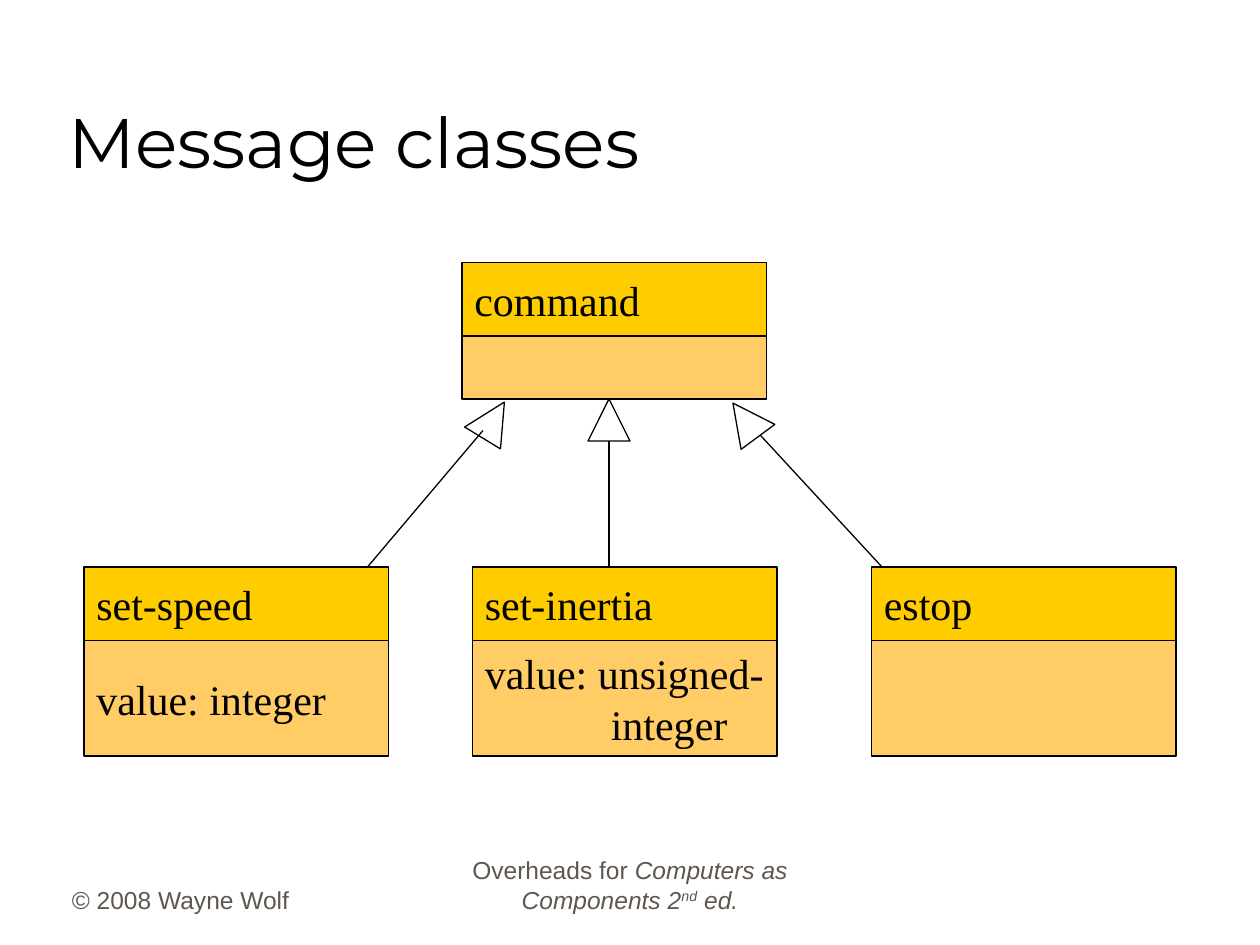
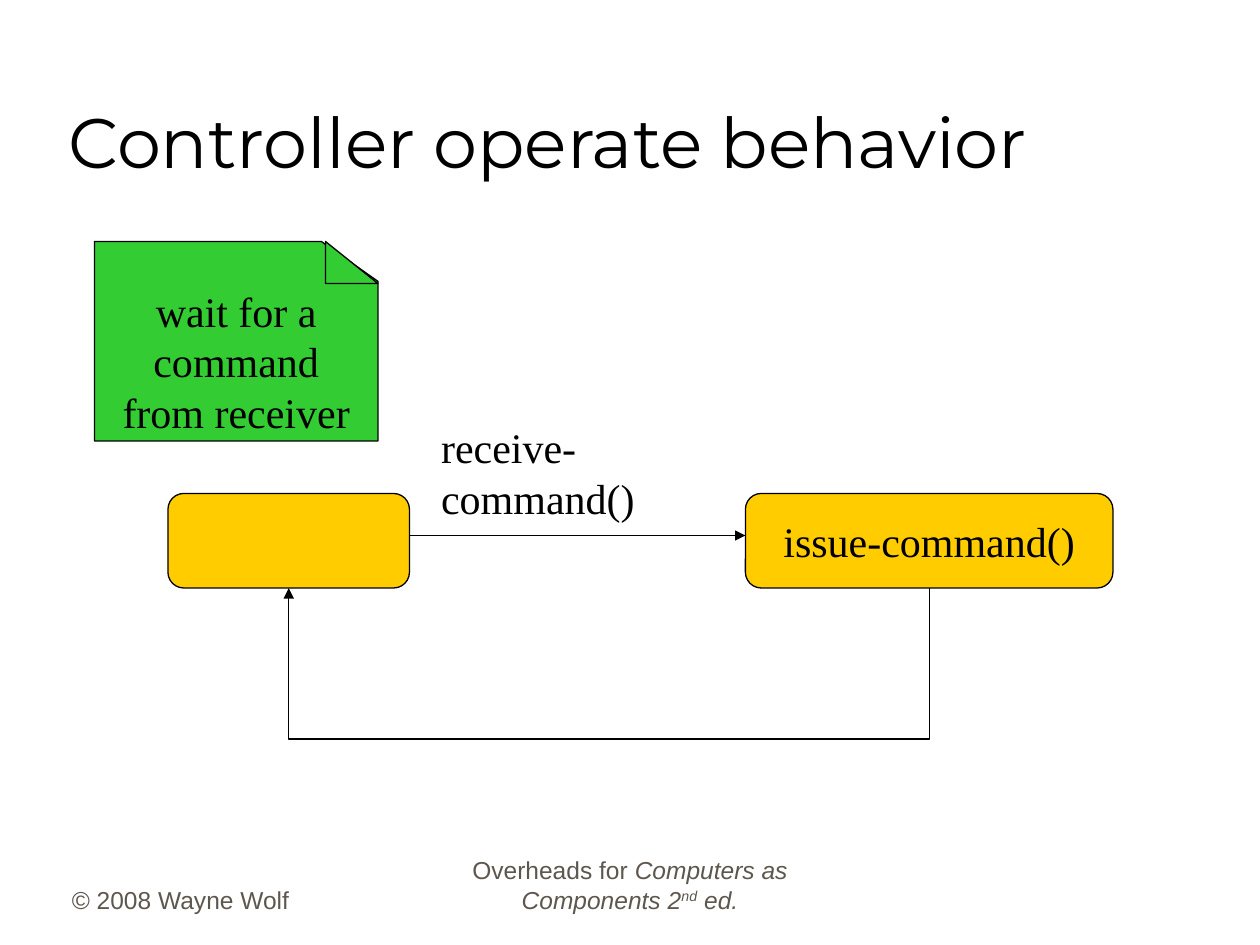
"""Two slides on train control: message classes and controller behavior."""
from lxml import etree
from pptx import Presentation
from pptx.dml.color import RGBColor
from pptx.enum import shapes, text
from pptx.oxml import ns
from pptx.util import Pt

BLACK = RGBColor(0x00, 0x00, 0x00)
WHITE = RGBColor(0xFF, 0xFF, 0xFF)
GRAY = RGBColor(0x5E, 0x57, 0x4E)
GOLD = RGBColor(0xFF, 0xCC, 0x00)
PEACH = RGBColor(0xFF, 0xCC, 0x66)
GREEN = RGBColor(0x33, 0xCC, 0x33)
KIND = shapes.MSO_SHAPE
LINK = shapes.MSO_CONNECTOR
LEFT, MID = text.PP_ALIGN.LEFT, text.PP_ALIGN.CENTER
TOP, CORE, LOW = (text.MSO_ANCHOR.TOP, text.MSO_ANCHOR.MIDDLE,
                  text.MSO_ANCHOR.BOTTOM)
TITLE = ("Montserrat", 40, BLACK)
FOOT = ("Arial", 14, GRAY)
BODY = ("Times New Roman", 24, BLACK)
WIDE, HEAD = 174, 42


def add_run(para, words, style, italic=False, base=0):
    """Add one styled run to a paragraph."""
    run = para.add_run()
    run.text = words
    font = run.font
    font.name, font.size, font.color.rgb = style[0], Pt(style[1]), style[2]
    if italic:
        font.italic = True
    if base:
        run._r.get_or_add_rPr().set("baseline", str(base * 1000))


def set_frame(shape, lines, style, align=LEFT, anchor=CORE, wrap=False):
    """Fill a text frame; each line is a list of run arguments."""
    frame = shape.text_frame
    frame.word_wrap = wrap
    frame.vertical_anchor = anchor
    for num, runs in enumerate(lines):
        para = frame.add_paragraph() if num else frame.paragraphs[0]
        para.alignment = align
        for words, *extra in runs:
            add_run(para, words, style, *extra)
    return frame


def add_text(slide, box, lines, style, **opts):
    """Add a text box."""
    shape = slide.shapes.add_textbox(*map(Pt, box))
    return set_frame(shape, lines, style, **opts)


def add_form(slide, kind, box, fill, lines=(), align=LEFT, turn=0):
    """Add a filled preset shape with a thin black outline."""
    form = slide.shapes.add_shape(kind, *map(Pt, box))
    form.shadow.inherit = False
    form.fill.solid()
    form.fill.fore_color.rgb = fill
    form.line.color.rgb = BLACK
    form.line.width = Pt(0.75)
    form.rotation = turn
    if lines:
        set_frame(form, [[(words,)] for words in lines], BODY, align)
    return form


def add_link(slide, start, end, kind=LINK.STRAIGHT, arrow=False):
    """Add a thin black connector, with an arrowhead if asked."""
    link = slide.shapes.add_connector(kind, *map(Pt, start + end))
    link.line.color.rgb = BLACK
    link.line.width = Pt(0.75)
    if arrow:
        tip = etree.SubElement(link.line._get_or_add_ln(), ns.qn("a:tailEnd"))
        tip.set("type", "triangle")
    etree.SubElement(link._element.spPr, ns.qn("a:effectLst"))
    return link


def add_loop(slide, first, last, depth):
    """Link the bottoms of two level shapes by a loop of the given depth."""
    left, right = (s.left + s.width // 2 for s in (last, first))
    base = first.top + first.height
    link = add_link(slide, (0, 0), (1, 1), LINK.ELBOW, True)
    link.begin_connect(first, 2)
    link.end_connect(last, 2)
    thin, span = Pt(0.2), right - left
    link.left, link.top = (left + right - thin) // 2, base - span // 2
    link.width, link.height = thin, span
    frame = link._element.spPr.get_or_add_xfrm()
    frame.flipH = frame.flipV = False
    frame.rot = 90
    bends = link._element.spPr.find(ns.qn("a:prstGeom")).find(ns.qn("a:avLst"))
    bend = etree.SubElement(bends, ns.qn("a:gd"))
    bend.set("name", "adj1")
    bend.set("fmla", f"val {round(Pt(depth) / thin * 100000)}")


def add_class(slide, left, top, name, high, fields=()):
    """Add a class box: a name band above a field band."""
    add_form(slide, KIND.RECTANGLE, (left, top, WIDE, HEAD), GOLD, [name])
    return add_form(slide, KIND.RECTANGLE, (left, top + HEAD, WIDE, high),
                    PEACH, fields)


def add_note(slide, left, top, wide, high, lines):
    """Add a note with a folded top right corner."""
    card = add_form(slide, KIND.FLOWCHART_CARD, (left, top, wide, high),
                    GREEN, lines, MID)
    card._element.spPr.get_or_add_xfrm().flipH = True
    add_form(slide, KIND.RIGHT_TRIANGLE, (left + wide - 30, top, 30, 24), GREEN)


def add_page(deck, title):
    """Add a blank slide with the shared footers and title."""
    slide = deck.slides.add_slide(deck.slide_layouts[6])
    add_text(slide, (34, 490, 150, 36), [[("© 2008 Wayne Wolf",)]], FOOT,
             anchor=LOW, wrap=True)
    book = [("Overheads for ",), ("Computers as Components 2", True),
            ("nd", True, 30), (" ed.", True)]
    add_text(slide, (246, 490, 228, 36), [book], FOOT, align=MID,
             anchor=LOW, wrap=True)
    add_text(slide, (32, 18, 612, 90), [[(title,)]], TITLE,
             anchor=LOW, wrap=True)
    return slide


def draw_tree(slide, left, top):
    """Draw the command class with its three subclasses."""
    add_class(slide, left + 216, top, "command", 36)
    row = top + 174
    body = add_class(slide, left + 222, row, "set-inertia", 66,
                     ["value: unsigned-", "integer"])
    last = body.text_frame.paragraphs[1]._p.get_or_add_pPr()
    last.set("marL", str(Pt(72)))
    last.set("indent", "0")
    add_class(slide, left, row, "set-speed", 66, ["value: integer"])
    add_class(slide, left + 450, row, "estop", 66)

    def tip(x, turn):
        """Add one hollow arrow tip."""
        add_form(slide, KIND.ISOSCELES_TRIANGLE, (left + x, top + 78, 24, 24),
                 WHITE, turn=turn)

    tip(288, 0)
    tip(222, 31.4)
    for x1, y1, x2 in ((228, 96, 162), (300, 102, 300), (384, 96, 456)):
        add_link(slide, (left + x1, top + y1), (left + x2, row))
    tip(366, 323.5)


def draw_flow(slide, left, top):
    """Draw the wait and issue states with their transitions."""
    issue = add_form(slide, KIND.ROUNDED_RECTANGLE,
                     (left + 330, top, 210, 54), GOLD,
                     ["issue-command()"], MID)
    wait = add_form(slide, KIND.ROUNDED_RECTANGLE, (left, top, 138, 54), GOLD)
    add_text(slide, (left + 149, top - 44.5, 202, 36),
             [[("receive-command()",)]], BODY, anchor=TOP)
    add_link(slide, (left + 138, top + 24), (left + 330, top + 24), arrow=True)
    add_loop(slide, issue, wait, 87)


def main():
    """Build and save the deck."""
    deck = Presentation()
    deck.slide_width, deck.slide_height = Pt(720), Pt(540)
    draw_tree(add_page(deck, "Message classes"), 48, 150)
    flow = add_page(deck, "Controller operate behavior")
    draw_flow(flow, 96, 282)
    add_note(flow, 54, 138, 162, 114,
             ["wait for a", "command", "from receiver"])
    deck.save("out.pptx")


if __name__ == "__main__":
    main()
